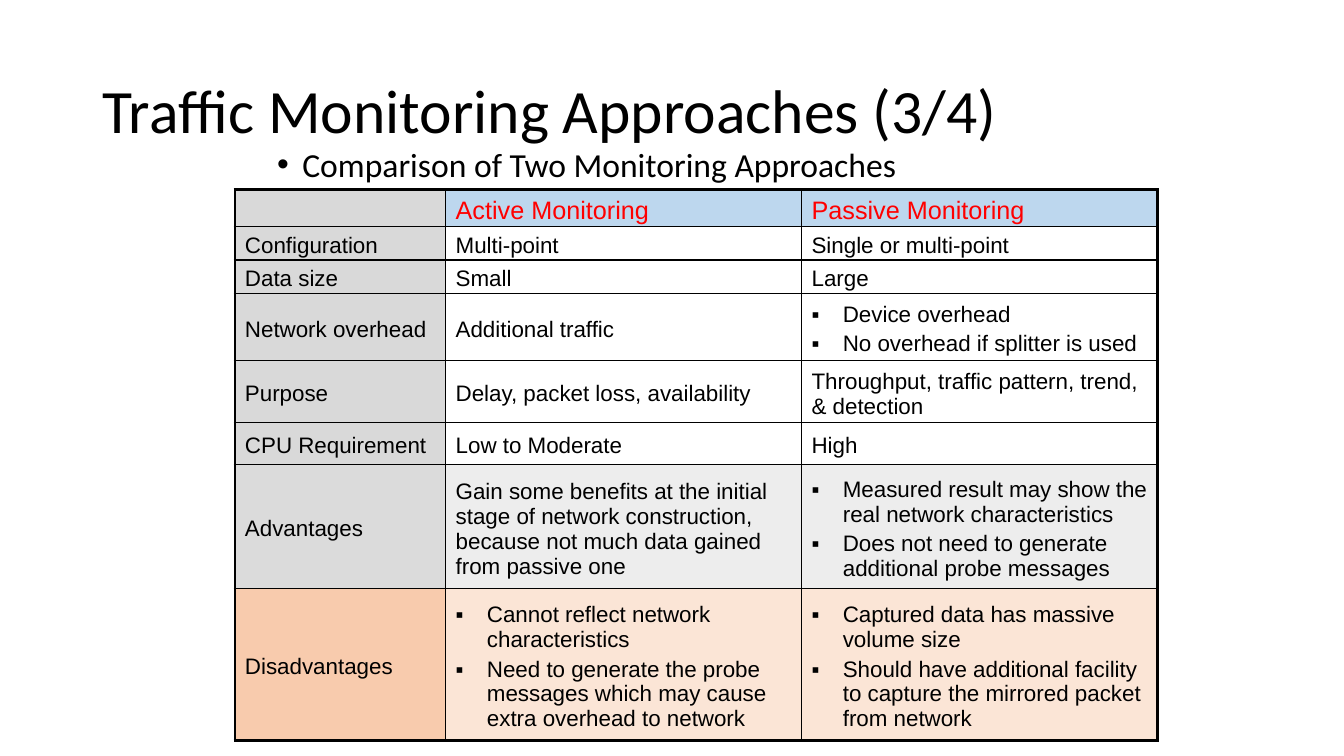
import pptx
import pptx.util
import pptx.dml.color
import pptx.enum.text
from lxml import etree
from pptx.oxml.ns import qn
from pptx.util import Inches, Pt

TITLE = "Traffic Monitoring Approaches (3/4)"
SUBTITLE = "Comparison of Two Monitoring Approaches"

# A list in a cell becomes a bulleted list.
COMPARISON = [
    ("", "Active Monitoring", "Passive Monitoring"),
    ("Configuration", "Multi-point", "Single or multi-point"),
    ("Data size", "Small", "Large"),
    ("Network overhead", "Additional traffic",
     ["Device overhead", "No overhead if splitter is used"]),
    ("Purpose", "Delay, packet loss, availability",
     "Throughput, traffic pattern, trend, & detection"),
    ("CPU Requirement", "Low to Moderate", "High"),
    ("Advantages",
     "Gain some benefits at the initial stage of network construction, "
     "because not much data gained from passive one",
     ["Measured result may show the real network characteristics",
      "Does not need to generate additional probe messages"]),
    ("Disadvantages",
     ["Cannot reflect network characteristics",
      "Need to generate the probe messages which may cause extra overhead to network"],
     ["Captured data has massive volume size",
      "Should have additional facility to capture the mirrored packet from network"]),
]
COLUMN_WIDTHS = [2.09, 3.53, 3.53]
ROW_HEIGHTS = [0.37, 0.33, 0.33, 0.67, 0.61, 0.42, 1.23, 1.51]
# (label column, other columns) for each row
ROW_FILLS = ([("D9D9D9", "BDD7EE")] + [("D9D9D9", None)] * 5
             + [("DBDBDB", "EDEDED"), ("F8CBAD", "FBE5D6")])
BLACK, RED = "000000", "FF0000"
THIN, THICK = 1, 2.25


def rgb(color):
    return pptx.dml.color.RGBColor.from_string(color)


def write(paragraph, text, font, size, color=BLACK):
    run = paragraph.add_run()
    run.text = text
    run.font.name = font
    run.font.size = Pt(size)
    run.font.color.rgb = rgb(color)


def add_bullet(paragraph, mark, indent):
    properties = paragraph._p.get_or_add_pPr()
    properties.set("marL", str(Inches(indent)))
    properties.set("indent", str(-Inches(indent)))
    etree.SubElement(properties, qn("a:buFont"), typeface="Arial")
    etree.SubElement(properties, qn("a:buChar"), char=mark)


def add_heading(slide, box, text, size, anchor, mark=None):
    frame = slide.shapes.add_textbox(*map(Inches, box)).text_frame
    frame.word_wrap = True
    frame.vertical_anchor = anchor
    paragraph = frame.paragraphs[0]
    if mark:
        add_bullet(paragraph, mark, 0.25)
    paragraph.line_spacing = 0.9
    write(paragraph, text, "Calibri", size)


def set_borders(cell, widths):
    """Draw the black cell edges; widths are left, right, top, bottom in points."""
    properties = cell._tc.get_or_add_tcPr()
    for side, width in zip("LRTB", widths):
        line = etree.SubElement(properties, qn(f"a:ln{side}"), w=str(Pt(width)))
        fill = etree.SubElement(line, qn("a:solidFill"))
        etree.SubElement(fill, qn("a:srgbClr"), val=BLACK)


def fill_cell(cell, content, fill, size, color):
    cell.margin_left = cell.margin_right = Inches(0.1)
    cell.margin_top, cell.margin_bottom = Inches(0.05), 0
    cell.vertical_anchor = pptx.enum.text.MSO_ANCHOR.MIDDLE
    if fill:
        cell.fill.solid()
        cell.fill.fore_color.rgb = rgb(fill)
    else:
        cell.fill.background()
    bulleted = isinstance(content, list)
    for i, text in enumerate(content if bulleted else [content]):
        paragraph = cell.text_frame.paragraphs[0] if i == 0 else cell.text_frame.add_paragraph()
        if bulleted:
            add_bullet(paragraph, "▪", 0.31)
        if i:
            paragraph.space_before = Pt(0.2 * size)
        if text:
            write(paragraph, text, "Arial", size, color)


def add_comparison(slide):
    last_row, last_column = len(ROW_HEIGHTS) - 1, len(COLUMN_WIDTHS) - 1
    table = slide.shapes.add_table(
        len(ROW_HEIGHTS), len(COLUMN_WIDTHS), Inches(2.33), Inches(1.88),
        Inches(sum(COLUMN_WIDTHS)), Inches(sum(ROW_HEIGHTS))).table
    table.first_row = table.horz_banding = False
    for column, width in zip(table.columns, COLUMN_WIDTHS):
        column.width = Inches(width)
    for r, (contents, fills) in enumerate(zip(COMPARISON, ROW_FILLS)):
        table.rows[r].height = Inches(ROW_HEIGHTS[r])
        size, color = (18, RED) if r == 0 else (16, BLACK)
        for c, content in enumerate(contents):
            cell = table.cell(r, c)
            outer_edges = (c == 0, c == last_column, r == 0, r == last_row)
            set_borders(cell, [THICK if outer else THIN for outer in outer_edges])
            fill_cell(cell, content, fills[min(c, 1)], size, color)


def main():
    deck = pptx.Presentation()
    deck.slide_width, deck.slide_height = Inches(13.33), Inches(7.5)
    slide = deck.slides.add_slide(deck.slide_layouts[6])
    anchors = pptx.enum.text.MSO_ANCHOR
    add_heading(slide, (0.92, 0.4, 11.5, 1.45), TITLE, 44, anchors.MIDDLE)
    add_heading(slide, (2.65, 1.42, 9.31, 3.18), SUBTITLE, 24, anchors.TOP, "•")
    add_comparison(slide)
    deck.save("out.pptx")


if __name__ == "__main__":
    main()
